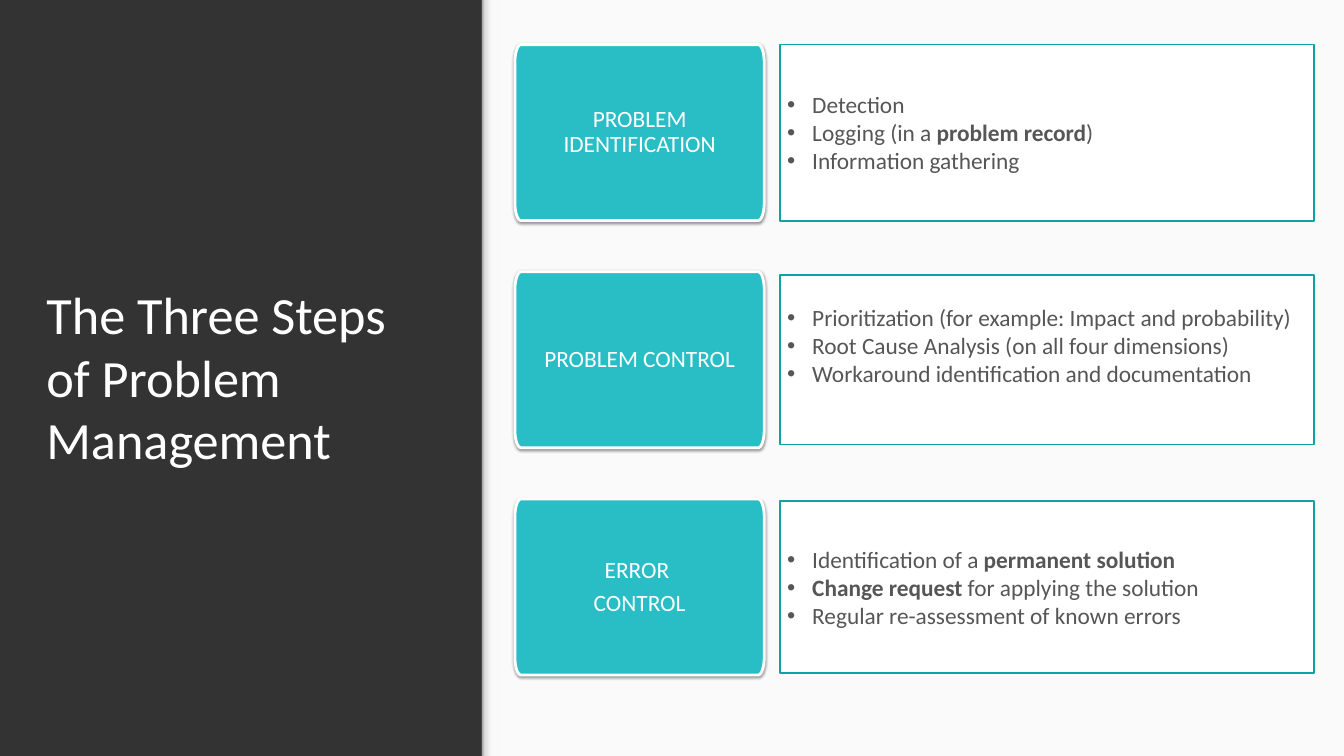
from dataclasses import dataclass
from math import cos, pi, sin

from pptx import Presentation
from pptx.dml.color import RGBColor
from pptx.enum.shapes import MSO_SHAPE
from pptx.enum.text import MSO_ANCHOR, PP_ALIGN
from pptx.oxml import parse_xml
from pptx.oxml.ns import nsdecls
from pptx.util import Pt


@dataclass(frozen=True)
class Theme:
    font: str = "Calibri"
    bullet_font: str = "Arial"
    title_size: Pt = Pt(56)
    body_size: Pt = Pt(25)
    dark: RGBColor = RGBColor.from_string("333333")
    panel: RGBColor = RGBColor.from_string("FAFAFA")
    white: RGBColor = RGBColor.from_string("FFFFFF")
    card: RGBColor = RGBColor.from_string("29BEC6")
    border: RGBColor = RGBColor.from_string("10A1A6")
    text: RGBColor = RGBColor.from_string("565656")
    edge_stops: tuple = ((0, "999999"), (20, "DEDEDE"), (64, "F9F9F9"), (100, "F9F9F9"))
    shadow: str = "000000"


theme = Theme()


def add_box(left, top, width, height, fill):
    shape = slide.shapes.add_shape(
        MSO_SHAPE.RECTANGLE, Pt(left), Pt(top), Pt(width), Pt(height)
    )
    shape.shadow.inherit = False
    shape.fill.solid()
    shape.fill.fore_color.rgb = fill
    shape.line.fill.background()
    return shape


def style_paragraph(paragraph, size, color, alignment):
    paragraph.alignment = alignment
    paragraph.font.name = theme.font
    paragraph.font.size = size
    paragraph.font.color.rgb = color


steps = [
    (["PROBLEM IDENTIFICATION"], 188.6, 3.6, [
        [("Detection", False)],
        [("Logging (in a ", False), ("problem record", True), (")", False)],
        [("Information gathering", False)],
    ]),
    (["PROBLEM CONTROL"], 181.4, 34, [
        [("Prioritization (for example: Impact and probability)", False)],
        [("Root Cause Analysis (on all four dimensions)", False)],
        [("Workaround identification and documentation", False)],
    ]),
    (["ERROR ", "CONTROL"], 185, 3.6, [
        [("Identification of a ", False), ("permanent solution", True)],
        [("Change request", True), (" for applying the solution", False)],
        [("Regular re-assessment of known errors", False)],
    ]),
]

slide_width, slide_height = 1440, 809.5
panel_left = 516.2
card_left, card_top, card_width, card_height = 551.7, 47.8, 267.1, 188.4
card_pitch = 243.3
corner_width, corner_height, corner_steps = 6.5, 18.9, 8
detail_left, detail_width, detail_indent = 836.2, 571.7, 27

presentation = Presentation()
presentation.slide_width = Pt(slide_width)
presentation.slide_height = Pt(slide_height)
slide = presentation.slides.add_slide(presentation.slide_layouts[6])
slide.background.fill.solid()
slide.background.fill.fore_color.rgb = theme.dark

add_box(panel_left, 0, slide_width - panel_left, slide_height, theme.panel)
panel_edge = add_box(panel_left, 0, 17.3, slide_height, theme.panel)
panel_edge.fill.gradient()
panel_edge.fill.gradient_angle = 0
stop_list = panel_edge._element.spPr.find(".//{*}gsLst")
for stop in list(stop_list):
    stop_list.remove(stop)
for position, color in theme.edge_stops:
    stop_list.append(parse_xml(
        f'<a:gs {nsdecls("a")} pos="{position * 1000}"><a:srgbClr val="{color}"/></a:gs>'
    ))

title = slide.shapes.add_textbox(Pt(35.3), Pt(368.3), Pt(442.1), Pt(149.8))
title_frame = title.text_frame
title_frame.word_wrap = True
title_frame.vertical_anchor = MSO_ANCHOR.BOTTOM
title_frame.margin_left = title_frame.margin_right = Pt(14.4)
title_frame.margin_top = title_frame.margin_bottom = Pt(14.4)
title_frame.text = "The Three Steps of Problem Management"
style_paragraph(title_frame.paragraphs[0], theme.title_size, theme.white, PP_ALIGN.LEFT)

for index, (labels, detail_height, bottom_margin, details) in enumerate(steps):
    top = card_top + index * card_pitch
    center_x, center_y = card_left + card_width / 2, top + card_height / 2
    outline = []
    for corner, (side_x, side_y) in enumerate([(1, 1), (-1, 1), (-1, -1), (1, -1)]):
        for step in range(corner_steps + 1):
            angle = (corner + step / corner_steps) * pi / 2
            x = center_x + side_x * (card_width / 2 - corner_width) + corner_width * cos(angle)
            y = center_y + side_y * (card_height / 2 - corner_height) + corner_height * sin(angle)
            outline.append((Pt(x), Pt(y)))
    builder = slide.shapes.build_freeform(*outline[0])
    builder.add_line_segments(outline[1:], close=True)
    card = builder.convert_to_shape()
    card.fill.solid()
    card.fill.fore_color.rgb = theme.card
    card.line.color.rgb = theme.white
    card.line.width = Pt(3)
    card.shadow.inherit = False
    card._element.spPr.find("{*}effectLst").append(parse_xml(
        f'<a:outerShdw {nsdecls("a")} blurRad="{Pt(3.1)}" dist="{Pt(1.6)}" dir="5400000"'
        f' rotWithShape="0"><a:srgbClr val="{theme.shadow}"><a:alpha val="38000"/>'
        "</a:srgbClr></a:outerShdw>"
    ))
    card_frame = card.text_frame
    card_frame.word_wrap = True
    card_frame.vertical_anchor = MSO_ANCHOR.MIDDLE
    card_frame.margin_left = card_frame.margin_right = Pt(10)
    card_frame.margin_top = card_frame.margin_bottom = Pt(10)
    card_frame.text = "\n".join(labels)
    for paragraph in card_frame.paragraphs:
        style_paragraph(paragraph, theme.body_size, theme.white, PP_ALIGN.CENTER)
        paragraph.line_spacing = 0.9
        paragraph.space_after = Pt(8.5)

    detail = add_box(
        detail_left, center_y - detail_height / 2, detail_width, detail_height, theme.white
    )
    detail.line.color.rgb = theme.border
    detail.line.width = Pt(2)
    detail_frame = detail.text_frame
    detail_frame.word_wrap = True
    detail_frame.vertical_anchor = MSO_ANCHOR.MIDDLE
    detail_frame.margin_bottom = Pt(bottom_margin)
    detail_frame.text = "\n" * (len(details) - 1)
    for paragraph, runs in zip(detail_frame.paragraphs, details):
        style_paragraph(paragraph, theme.body_size, theme.text, PP_ALIGN.LEFT)
        properties = paragraph._p.get_or_add_pPr()
        properties.set("marL", str(Pt(detail_indent)))
        properties.set("indent", str(-Pt(detail_indent)))
        properties.insert(0, parse_xml(
            f'<a:buFont {nsdecls("a")} typeface="{theme.bullet_font}"/>'
        ))
        properties.insert(1, parse_xml(f'<a:buChar {nsdecls("a")} char="•"/>'))
        for text, bold in runs:
            run = paragraph.add_run()
            run.text = text
            run.font.bold = bold

presentation.save("out.pptx")
